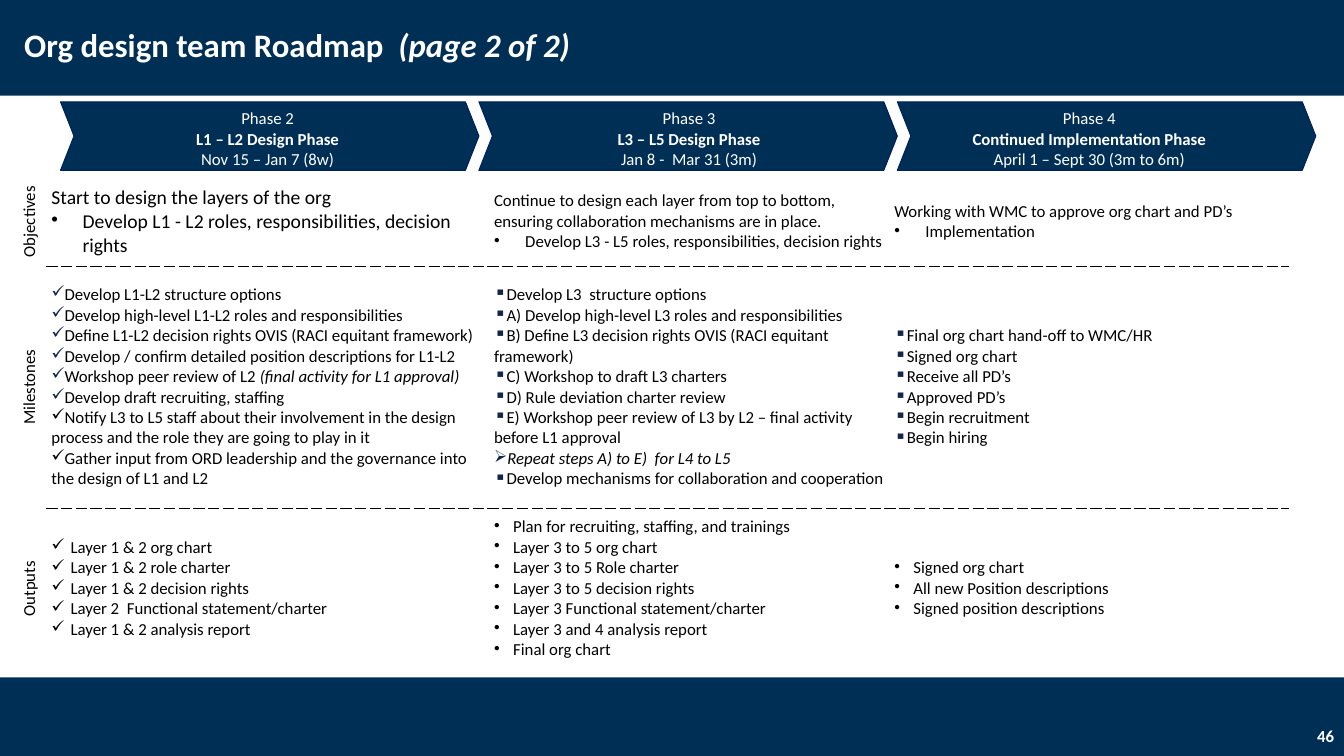
from collections import namedtuple

from lxml import etree
from pptx import Presentation
from pptx.dml.color import RGBColor
from pptx.enum.shapes import MSO_SHAPE
from pptx.enum.text import MSO_ANCHOR, MSO_AUTO_SIZE, PP_ALIGN
from pptx.oxml.ns import qn
from pptx.util import Inches, Pt

COLORS = {"navy": "002F56", "outline": "002060", "bullet": "12264A",
          "white": "FFFFFF", "black": "000000"}
FONT = "Calibri"
PLAIN_TABLE_STYLE = "{2D5ABB26-0587-4C30-8999-92F81FD0307C}"

Bullet = namedtuple("Bullet", "symbol left hanging color")
DOT_WIDE = Bullet("•", 0.31, 0.31, "black")
DOT = Bullet("•", 0.19, 0.19, "black")
CHECK = Bullet("✓", 0.19, 0.19, "black")
CHECK_FLUSH = Bullet("✓", 0, 0.19, "black")
CHECK_NAVY = Bullet("✓", 0, 0.19, "bullet")
SQUARE = Bullet("▪", 0, 0.1, "bullet")
ARROW = Bullet("➢", 0, 0.19, "bullet")

COLUMN_WIDTHS = [0.32, 4.39, 3.97, 3.97]
ROW_HEIGHTS = [0.75, 0.88, 2.4, 1.6]

PHASES = [
    ("Phase 2", "L1 – L2 Design Phase", "Nov 15 – Jan 7 (8w)"),
    ("Phase 3", "L3 – L5 Design Phase", "Jan 8 -  Mar 31 (3m)"),
    ("Phase 4", "Continued Implementation Phase", "April 1 – Sept 30 (3m to 6m)"),
]


def bulleted(bullet, *texts):
    return [(bullet, text) for text in texts]


OBJECTIVES = [
    [(None, "Start to design the layers of the org"),
     (DOT_WIDE, "Develop L1 - L2 roles, responsibilities, decision rights")],
    [(None, "Continue to design each layer from top to bottom, "
            "ensuring collaboration mechanisms are in place."),
     (DOT_WIDE, "Develop L3 - L5 roles, responsibilities, decision rights")],
    [(None, "Working with WMC to approve org chart and PD’s"),
     (DOT_WIDE, "Implementation")],
]
MILESTONES = [
    bulleted(CHECK_NAVY,
             "Develop L1-L2 structure options",
             "Develop high-level L1-L2 roles and responsibilities",
             "Define L1-L2 decision rights OVIS (RACI equitant framework)",
             "Develop / confirm detailed position descriptions for L1-L2",
             "Workshop peer review of L2 *(final activity for L1 approval)*",
             "Develop draft recruiting, staffing")
    + bulleted(CHECK_FLUSH,
               "Notify L3 to L5 staff about their involvement in the design "
               "process and the role they are going to play in it",
               "Gather input from ORD leadership and the governance into "
               "the design of L1 and L2"),
    bulleted(SQUARE,
             "Develop L3  structure options",
             "A) Develop high-level L3 roles and responsibilities",
             "B) Define L3 decision rights OVIS (RACI equitant framework)",
             "C) Workshop to draft L3 charters",
             "D) Rule deviation charter review",
             "E) Workshop peer review of L3 by L2 – final activity before L1 approval")
    + bulleted(ARROW, "*Repeat steps A) to E)  for L4 to L5*")
    + bulleted(SQUARE, "Develop mechanisms for collaboration and cooperation"),
    bulleted(SQUARE, "Final org chart hand-off to WMC/HR", "Signed org chart",
             "Receive all PD’s", "Approved PD’s", "Begin recruitment", "Begin hiring"),
]
OUTPUTS = [
    bulleted(CHECK, "Layer 1 & 2 org chart", "Layer 1 & 2 role charter",
             "Layer 1 & 2 decision rights", "Layer 2  Functional statement/charter",
             "Layer 1 & 2 analysis report"),
    bulleted(DOT, "Plan for recruiting, staffing, and trainings",
             "Layer 3 to 5 org chart", "Layer 3 to 5 Role charter",
             "Layer 3 to 5 decision rights", "Layer 3 Functional statement/charter",
             "Layer 3 and 4 analysis report", "Final org chart"),
    bulleted(DOT, "Signed org chart", "All new Position descriptions",
             "Signed position descriptions"),
]
SECTIONS = [("Objectives", OBJECTIVES), ("Milestones", MILESTONES), ("Outputs", OUTPUTS)]


def rgb(name):
    return RGBColor.from_string(COLORS[name])


def add_bullet(paragraph, bullet):
    properties = paragraph._p.get_or_add_pPr()
    properties.set("marL", str(Inches(bullet.left)))
    properties.set("indent", str(-Inches(bullet.hanging)))
    color = etree.SubElement(properties, qn("a:buClr"))
    etree.SubElement(color, qn("a:srgbClr"), val=COLORS[bullet.color])
    etree.SubElement(properties, qn("a:buChar"), char=bullet.symbol)


def write_paragraph(paragraph, text, size=12, color="black", bold=False,
                    align=PP_ALIGN.LEFT, bullet=None):
    if bullet:
        add_bullet(paragraph, bullet)
    paragraph.alignment = align
    font = paragraph.font
    font.name, font.size, font.bold = FONT, Pt(size), bold
    font.color.rgb = rgb(color)
    for index, part in enumerate(text.split("*")):
        if part:
            run = paragraph.add_run()
            run.text = part
            if index % 2:
                run.font.italic = True


def next_paragraph(frame, index):
    return frame.paragraphs[0] if index == 0 else frame.add_paragraph()


def add_filled_shape(slide, kind, left, top, width, height):
    shape = slide.shapes.add_shape(kind, Inches(left), Inches(top),
                                   Inches(width), Inches(height))
    shape.shadow.inherit = False
    shape.fill.solid()
    shape.fill.fore_color.rgb = rgb("navy")
    shape.line.fill.background()
    return shape


def add_phase_chevron(slide, index):
    chevron = add_filled_shape(slide, MSO_SHAPE.CHEVRON, 0.6 + 4.15 * index, 1.01, 4.15, 0.68)
    chevron.adjustments[0] = 0.197
    chevron.line.color.rgb = rgb("outline")
    chevron.line.width = Pt(0.75)


def add_dashed_borders(cell, sides):
    properties = cell._tc.get_or_add_tcPr()
    for position, side in enumerate(sides):
        line = etree.Element(qn(f"a:ln{side}"), w=str(Pt(0.75)))
        fill = etree.SubElement(line, qn("a:solidFill"))
        etree.SubElement(fill, qn("a:srgbClr"), val=COLORS["black"])
        etree.SubElement(line, qn("a:prstDash"), val="lgDash")
        properties.insert(position, line)


def format_cell(cell, filled=True):
    cell.vertical_anchor = MSO_ANCHOR.MIDDLE
    cell.margin_left = cell.margin_right = Inches(0.05)
    cell.margin_top = cell.margin_bottom = Inches(0.05)
    if filled:
        cell.fill.solid()
        cell.fill.fore_color.rgb = rgb("white")
    else:
        cell.fill.background()


def fill_header(table):
    format_cell(table.cell(0, 0), filled=False)
    for column, lines in enumerate(PHASES, 1):
        cell = table.cell(0, column)
        format_cell(cell, filled=False)
        for index, text in enumerate(lines):
            write_paragraph(next_paragraph(cell.text_frame, index), text, color="white",
                            bold=index == 1, align=PP_ALIGN.CENTER)


def fill_section(table, row, label, columns):
    label_cell = table.cell(row, 0)
    format_cell(label_cell)
    label_cell._tc.get_or_add_tcPr().set("vert", "vert270")
    write_paragraph(label_cell.text_frame.paragraphs[0], label, align=PP_ALIGN.CENTER)
    sides = {1: "B", 2: "TB", 3: "T"}[row]
    for column, items in enumerate(columns, 1):
        cell = table.cell(row, column)
        format_cell(cell)
        add_dashed_borders(cell, sides)
        size = 14 if (row, column) == (1, 1) else 12
        for index, (bullet, text) in enumerate(items):
            write_paragraph(next_paragraph(cell.text_frame, index), text, size, bullet=bullet)


def add_roadmap_table(slide):
    frame = slide.shapes.add_table(len(ROW_HEIGHTS), len(COLUMN_WIDTHS), Inches(0.14), Inches(1.01),
                                   Inches(sum(COLUMN_WIDTHS)), Inches(sum(ROW_HEIGHTS)))
    table = frame.table
    table.first_row = table.horz_banding = False
    table._tbl.tblPr.find(qn("a:tableStyleId")).text = PLAIN_TABLE_STYLE
    for column, width in zip(table.columns, COLUMN_WIDTHS):
        column.width = Inches(width)
    for row, height in zip(table.rows, ROW_HEIGHTS):
        row.height = Inches(height)
    fill_header(table)
    for row, (label, columns) in enumerate(SECTIONS, 1):
        fill_section(table, row, label, columns)


def format_title(slide):
    title = slide.shapes.title
    slide.shapes._spTree.append(title._element)
    title.left, title.top = Inches(0.14), Inches(0.04)
    title.width, title.height = Inches(7.59), Inches(0.84)
    title.text_frame.auto_size = MSO_AUTO_SIZE.NONE
    title.text_frame.vertical_anchor = MSO_ANCHOR.MIDDLE
    paragraph = title.text_frame.paragraphs[0]
    paragraph.line_spacing = 0.9
    write_paragraph(paragraph, "Org design team Roadmap  *(page 2 of 2)*", 23.4, "white", True)


def add_page_number(slide):
    box = slide.shapes.add_textbox(Inches(10.33), Inches(7.1), Inches(3), Inches(0.4))
    box.text_frame.word_wrap = True
    box.text_frame.vertical_anchor = MSO_ANCHOR.MIDDLE
    write_paragraph(box.text_frame.paragraphs[0], "46", 12, "white", True, PP_ALIGN.RIGHT)


def main():
    presentation = Presentation()
    presentation.slide_width, presentation.slide_height = Inches(13.33), Inches(7.5)
    slide = presentation.slides.add_slide(presentation.slide_layouts[5])
    add_filled_shape(slide, MSO_SHAPE.RECTANGLE, 0, 0, 13.33, 0.95)
    add_filled_shape(slide, MSO_SHAPE.RECTANGLE, 0, 6.72, 13.33, 0.78)
    for index in range(len(PHASES)):
        add_phase_chevron(slide, index)
    add_roadmap_table(slide)
    format_title(slide)
    add_page_number(slide)
    presentation.save("out.pptx")


if __name__ == "__main__":
    main()
